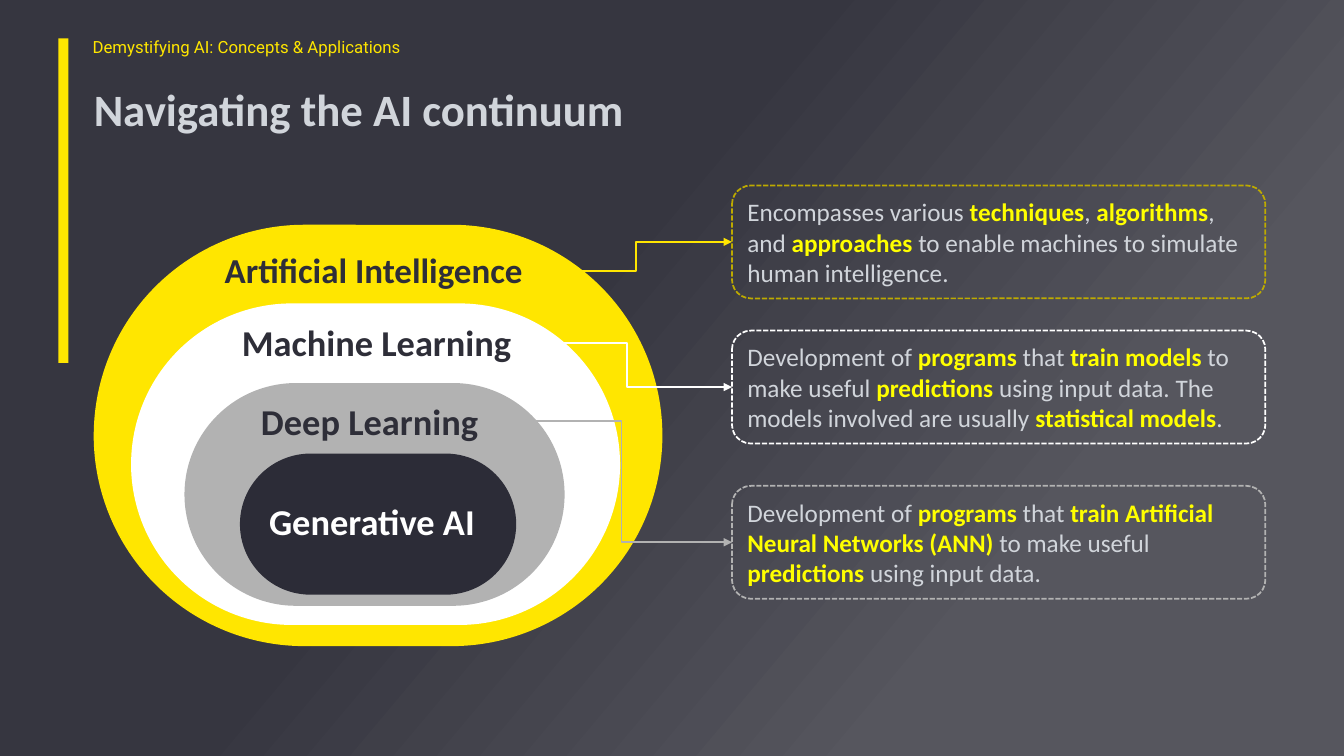
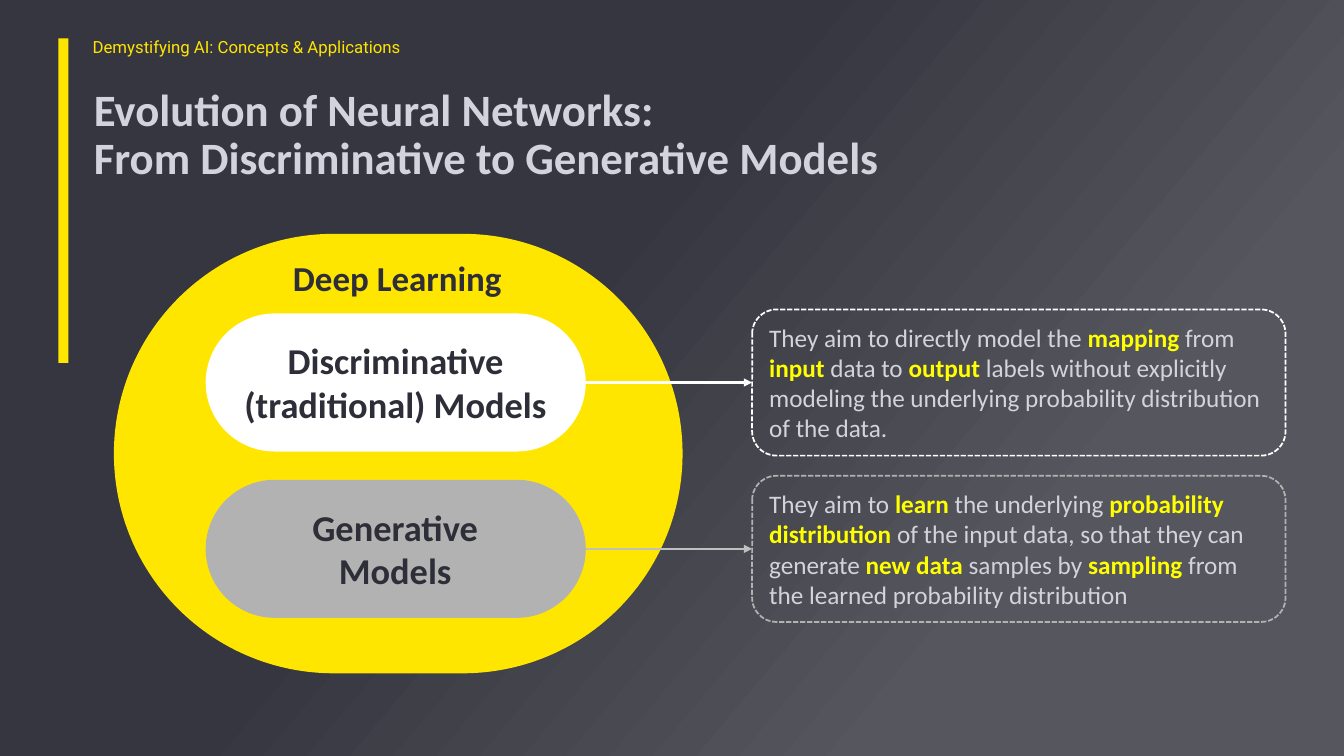
from lxml.etree import SubElement
from pptx import Presentation
from pptx.dml.color import RGBColor
from pptx.enum.dml import MSO_LINE
from pptx.enum.shapes import MSO_CONNECTOR as CONNECTOR, MSO_SHAPE as SHAPE
from pptx.enum.text import MSO_ANCHOR as ANCHOR, MSO_AUTO_SIZE as AUTO_SIZE, PP_ALIGN as ALIGN
from pptx.oxml.ns import qn
from pptx.util import Inches, Pt

YELLOW, BRIGHT, MUSTARD = "FFE600", "FFFF00", "BDAA00"
WHITE, SILVER, PALE = "FFFFFF", "B2B2B2", "D1D5DB"
INK, NIGHT = "2E2E38", "2C2C37"
BACKDROP = ((0.41, "363640"), (0.76, "56565E"))


def color(value):
    """Return the colour for a hex string."""
    return RGBColor.from_string(value)


class Slides:
    """Hold the shared style and the current page."""

    def __init__(self):
        """Start a wide deck with a gradient layout."""
        self.deck = Presentation()
        self.deck.slide_width, self.deck.slide_height = Inches(13.33), Inches(7.5)
        self.layout = self.deck.slide_layouts[5]
        fill = self.layout.background.fill
        fill.gradient()
        fill.gradient_angle = 320
        for stop, (position, shade) in zip(fill.gradient_stops, BACKDROP):
            stop.position, stop.color.rgb = position, color(shade)

    def span(self, para, text, size, shade, bold=True, font="Calibri"):
        """Add one styled run."""
        span = para.add_run()
        span.text = text
        span.font.name, span.font.size, span.font.bold = font, Pt(size), bold
        span.font.color.rgb = color(shade)

    def start(self, title, width):
        """Add a page with its accent bar, running header and title."""
        self.page = self.deck.slides.add_slide(self.layout)
        self.label("Demystifying AI: Concepts & Applications", 0.82, 0.32, 3.64, 0.3,
                   12, YELLOW, bold=False, font="Roboto")
        self.shape(SHAPE.RECTANGLE, 0.58, 0.38, 0.1, 3.22, YELLOW)
        box = self.page.shapes.title
        box.left, box.top, box.width, box.height = map(Inches, (0.93, 0.82, width, 0.85))
        frame = box.text_frame
        frame.margin_left, frame.vertical_anchor = 0, ANCHOR.TOP
        frame.auto_size, frame.word_wrap = AUTO_SIZE.NONE, True
        for index, line in enumerate(title):
            para = frame.add_paragraph() if index else frame.paragraphs[0]
            para.alignment, para.line_spacing = ALIGN.LEFT, 0.9
            self.span(para, line, 32, PALE)

    def shape(self, kind, left, top, width, height, fill=None):
        """Add a shape without line or shadow."""
        shape = self.page.shapes.add_shape(kind, *map(Inches, (left, top, width, height)))
        shape.shadow.inherit = False
        shape.line.fill.background()
        if fill:
            shape.fill.solid()
            shape.fill.fore_color.rgb = color(fill)
        else:
            shape.fill.background()
        return shape

    def pill(self, left, top, width, height, fill):
        """Add a fully rounded shape."""
        pill = self.shape(SHAPE.ROUNDED_RECTANGLE, left, top, width, height, fill)
        pill.adjustments[0] = 0.5
        return pill

    def label(self, text, left, top, width, height, size=26, shade=INK,
              align=ALIGN.LEFT, bold=True, font="Calibri"):
        """Add a text box with one run."""
        box = self.page.shapes.add_textbox(*map(Inches, (left, top, width, height)))
        box.text_frame.word_wrap = True
        para = box.text_frame.paragraphs[0]
        para.alignment = align
        self.span(para, text, size, shade, bold, font)
        return box

    def card(self, text, left, top, height, outline):
        """Add a dashed card whose words between asterisks are highlighted."""
        card = self.shape(SHAPE.ROUNDED_RECTANGLE, left, top, 5.29, height)
        card.line.color.rgb = color(outline)
        card.line.width, card.line.dash_style = Pt(1.25), MSO_LINE.SQUARE_DOT
        card.text_frame.word_wrap = True
        card.text_frame.vertical_anchor = ANCHOR.MIDDLE
        para = card.text_frame.paragraphs[0]
        para.alignment = ALIGN.LEFT
        for index, part in enumerate(text.split("*")):
            strong = index % 2 == 1
            self.span(para, part, 18, BRIGHT if strong else PALE, strong)
        return card

    def arrow(self, kind, source, target, shade, weight):
        """Join the right side of one shape to the left side of another."""
        arrow = self.page.shapes.add_connector(kind, 0, 0, 0, 0)
        arrow.begin_connect(source, 3)
        arrow.end_connect(target, 1)
        arrow.line.color.rgb, arrow.line.width = color(shade), Pt(weight)
        properties = arrow.element.spPr
        SubElement(properties.find(qn("a:ln")), qn("a:tailEnd"), type="triangle")
        SubElement(properties, qn("a:effectLst"))


def add_continuum(slides):
    """Build the nested fields of AI."""
    slides.start(["Navigating the AI continuum"], 5.43)
    fields = (
        ("Artificial Intelligence", (0.93, 2.23, 5.64, 4.18), (2.13, 2.42, 3.22), 25,
         YELLOW, MUSTARD, 1.84,
         "Encompasses various *techniques*, *algorithms*, and *approaches* to enable "
         "machines to simulate human intelligence."),
        ("Machine Learning", (1.3, 3.01, 4.85, 3.19), (2.3, 3.13, 2.88), 26,
         WHITE, WHITE, 3.28,
         "Development of *programs* that *train models* to make useful *predictions* using "
         "input data. The models involved are usually *statistical models*."),
        ("Deep Learning", (1.83, 3.8, 3.77, 2.21), (2.49, 3.91, 2.58), 26,
         SILVER, SILVER, 4.82,
         "Development of *programs* that *train Artificial Neural Networks (ANN)* to make "
         "useful *predictions* using input data."),
    )
    joints = []
    for name, area, place, size, fill, outline, top, text in fields:
        slides.pill(*area, fill)
        label = slides.label(name, *place, 0.54, size)
        joints.append((label, slides.card(text, 7.26, top, 1.12, outline), fill))
    for label, card, shade in joints:
        slides.arrow(CONNECTOR.ELBOW, label, card, shade, 1.25)
    slides.pill(2.38, 4.5, 2.74, 1.4, NIGHT)
    slides.label("Generative AI", 2.57, 4.9, 2.29, 0.54, shade=WHITE)


def add_evolution(slides):
    """Build the two kinds of deep learning model."""
    slides.start(["Evolution of Neural Networks:",
                  "From Discriminative to Generative Models"], 8)
    slides.pill(1.13, 2.32, 5.64, 4.36, YELLOW)
    slides.label("Deep Learning", 2.33, 2.5, 3.22, 0.54, 25, align=ALIGN.CENTER)
    models = (
        ("Discriminative (traditional) Models", 2.27, 3.31, 3.07, WHITE, WHITE,
         "They aim to directly model the *mapping* from *input* data to *output* labels "
         "without explicitly modeling the underlying probability distribution of the data."),
        ("Generative Models", 2.63, 2.58, 4.72, SILVER, "BFBFBF",
         "They aim to *learn* the underlying *probability distribution* of the input data, "
         "so that they can generate *new data* samples by *sampling* from the learned "
         "probability distribution"),
    )
    for name, left, width, top, fill, shade, text in models:
        pill = slides.pill(2.04, top + 0.04, 3.77, 1.37, fill)
        slides.label(name, left, top + 0.24, width, 0.98, align=ALIGN.CENTER)
        card = slides.card(text, 7.46, top, 1.45, fill)
        slides.arrow(CONNECTOR.STRAIGHT, pill, card, shade, 1.5)


def main():
    """Build and save the deck."""
    slides = Slides()
    add_continuum(slides)
    add_evolution(slides)
    slides.deck.save("out.pptx")


if __name__ == "__main__":
    main()
